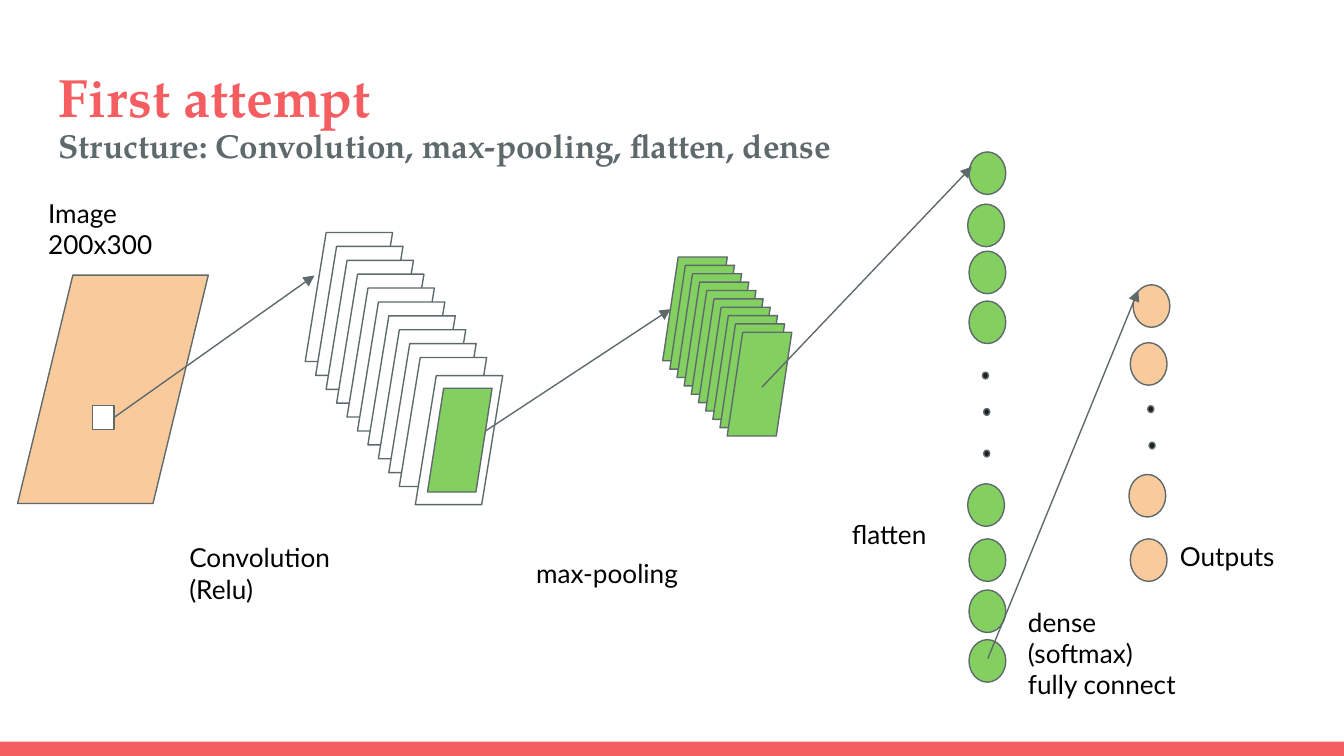
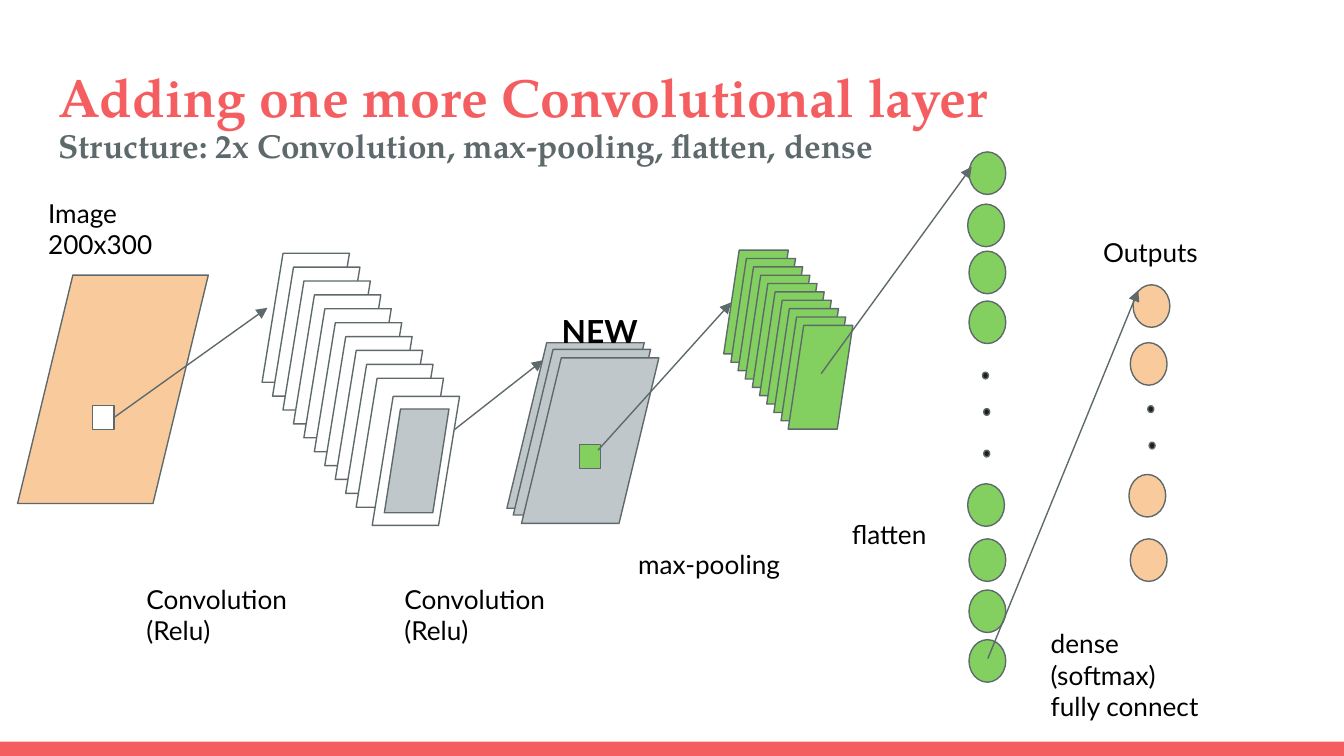
import pptx
import pptx.util
import pptx.dml.color
import pptx.enum.shapes
import pptx.oxml
import pptx.oxml.ns
from lxml import etree

Pt = pptx.util.Pt
KIND = pptx.enum.shapes.MSO_SHAPE

# Shared look
CORAL, SLATE, BLACK, WHITE = "F55E61", "5E696C", "000000", "FFFFFF"
GREEN, PEACH, GREY, DARK = "83D061", "F9CB9C", "BFC7CA", "1E1E1E"
SERIF, SANS = "TeX Gyre Pagella", "Lato"
WIDE, HIGH = 720, 405

# Sheet sizes, steps between sheets, and slant
CONV = (46.8, 69.1)
CONV_STEP = (5.6, 7.44)
POOL = (34.6, 55.6)
POOL_STEP = (3.84, 4.48)
SLANT, SLOPE = 0.24, 0.29

# Left and top of each node and dot in the dense part
HIDDEN = [(519.1, 81.4), (518.4, 109.4), (519.1, 134.6), (519.1, 161.3),
          (518.4, 259.2), (519.1, 288.7), (519.1, 316.1), (519.1, 342.7)]
FINAL = [(607, 152.6), (605.5, 183.6), (604.8, 254.2), (605.5, 288.7)]
DOTS = [(526.3, 199.4), (527, 218.9), (527, 241.2),
        (614.9, 217.4), (615.6, 236.9)]


def color(code):
    return pptx.dml.color.RGBColor.from_string(code)


# Basic elements
def shape(slide, kind, spot, size, fill, slant=None, line=SLATE):
    item = slide.shapes.add_shape(kind, *map(Pt, spot + size))
    item.shadow.inherit = False
    item.fill.solid()
    item.fill.fore_color.rgb = color(fill)
    if line:
        item.line.color.rgb = color(line)
        item.line.width = Pt(0.75)
    else:
        item.line.fill.background()
    if slant:
        item.adjustments[0] = slant


def sheet(slide, spot, size, fill, slant=SLANT):
    shape(slide, KIND.PARALLELOGRAM, spot, size, fill, slant)


def stack(slide, spot, size, step, count, fill, slant=SLANT):
    for i in range(count):
        place = (spot[0] + i * step[0], spot[1] + i * step[1])
        sheet(slide, place, size, fill, slant)


def arrow(slide, start, end):
    link = slide.shapes.add_connector(
        pptx.enum.shapes.MSO_CONNECTOR.STRAIGHT, *map(Pt, start + end))
    link.line.color.rgb = color(SLATE)
    link.line.width = Pt(0.75)
    tail = etree.SubElement(link.line._get_or_add_ln(),
                            pptx.oxml.ns.qn("a:tailEnd"))
    tail.set("type", "triangle")
    etree.SubElement(link._element.spPr, pptx.oxml.ns.qn("a:effectLst"))


def text(slide, spot, size, rows, space=1.0):
    """Each row is wording, font, points, colour, bold."""
    frame = slide.shapes.add_textbox(*map(Pt, spot + size)).text_frame
    frame.word_wrap = True
    frame.margin_left = frame.margin_right = Pt(7.2)
    frame.margin_top = frame.margin_bottom = Pt(7.2)
    for i, (words, face, points, tint, bold) in enumerate(rows):
        para = frame.add_paragraph() if i else frame.paragraphs[0]
        para.text = words
        para.line_spacing = space
        para.font.name = face
        para.font.size = Pt(points)
        para.font.color.rgb = color(tint)
        para.font.bold = bold


def label(slide, spot, *lines, width=102.2, points=14, bold=False):
    size = (width, 14.4 + 1.2 * points * len(lines))
    text(slide, spot, size,
         [(line, SANS, points, BLACK, bold) for line in lines])


# Parts of the network
def start(deck, title, under):
    slide = deck.slides.add_slide(deck.slide_layouts[6])
    shape(slide, KIND.RECTANGLE, (0, 397.4), (WIDE, HIGH - 397.4), CORAL,
          line=None)
    text(slide, (24.5, 31), (671, 49),
         [(title, SERIF, 28.8, CORAL, True),
          (under, SERIF, 17.8, SLATE, True)], space=0.9)
    return slide


def source(slide, end):
    sheet(slide, (9.4, 147.4), (102.2, 122.4), PEACH, SLOPE)
    shape(slide, KIND.RECTANGLE, (49.7, 217.2), (11.4, 12.8), WHITE)
    arrow(slide, (60.8, 223.9), end)
    label(slide, (18.7, 98.6), "Image 200x300")


def conv(slide, spot):
    stack(slide, spot, CONV, CONV_STEP, 10, WHITE)
    sheet(slide, (spot[0] + 59, spot[1] + 76.7), CONV, WHITE)


def patch(slide, spot, fill):
    sheet(slide, (spot[0] + 65.5, spot[1] + 83.4), POOL, fill, 0.25)


def pool(slide, spot):
    stack(slide, spot, POOL, POOL_STEP, 10, GREEN)


def dense(slide, first):
    for fill, spots in ((GREEN, HIDDEN), (PEACH, FINAL)):
        for spot in spots:
            shape(slide, KIND.OVAL, spot, (19.7, 22.8), fill)
    for spot in DOTS:
        shape(slide, KIND.OVAL, spot, (3.2, 3.6), DARK)
    arrow(slide, first, (520.6, 89.3))
    arrow(slide, (529.2, 352.8), (609.8, 155.5))
    label(slide, (449.3, 270.7), "flatten")


def relu(slide, spot):
    label(slide, spot, "Convolution", "(Relu)")


def notes(slide, final, full):
    label(slide, final, "Outputs", width=97.9)
    label(slide, full, "dense", "(softmax)", "fully connect")


# Slides
def single(deck):
    slide = start(deck, "First attempt",
                  "Structure: Convolution, max-pooling, flatten, dense")
    spot = (163.5, 124.6)
    conv(slide, spot)
    arrow(slide, (245.5, 240.5), (359.3, 165.6))
    label(slide, (280.1, 291.6), "max-pooling")
    pool(slide, (355, 137.7))
    patch(slide, spot, GREEN)
    dense(slide, (408.2, 207.4))
    notes(slide, (625, 282.2), (543.6, 317.5))
    source(slide, (168.5, 147.6))
    relu(slide, (94.3, 283))


def double(deck):
    slide = start(deck, "Adding one more Convolutional layer",
                  "Structure: 2x Convolution, max-pooling, flatten, dense")
    spot = (140.4, 135.7)
    relu(slide, (209.5, 305.3))
    for place in ((271.6, 183.6), (275, 187.2), (279.4, 191.7)):
        sheet(slide, place, (73.6, 88.7), GREY, SLOPE)
    arrow(slide, (223.9, 245.5), (290.9, 193))
    shape(slide, KIND.RECTANGLE, (310.3, 238.1), (11.4, 12.8), GREEN)
    conv(slide, spot)
    arrow(slide, (320.4, 241.2), (391.7, 162))
    label(slide, (334.8, 286.6), "max-pooling")
    pool(slide, (387.7, 134))
    patch(slide, spot, GREY)
    dense(slide, (439.9, 200.2))
    source(slide, (143.3, 164.9))
    relu(slide, (71.3, 305.3))
    label(slide, (293.8, 159.8), "NEW", width=61.9, points=17, bold=True)
    notes(slide, (583.9, 119.5), (555.8, 329))


def main():
    deck = pptx.Presentation()
    deck.slide_width, deck.slide_height = Pt(WIDE), Pt(HIGH)
    single(deck)
    double(deck)
    deck.save("out.pptx")


if __name__ == "__main__":
    main()
